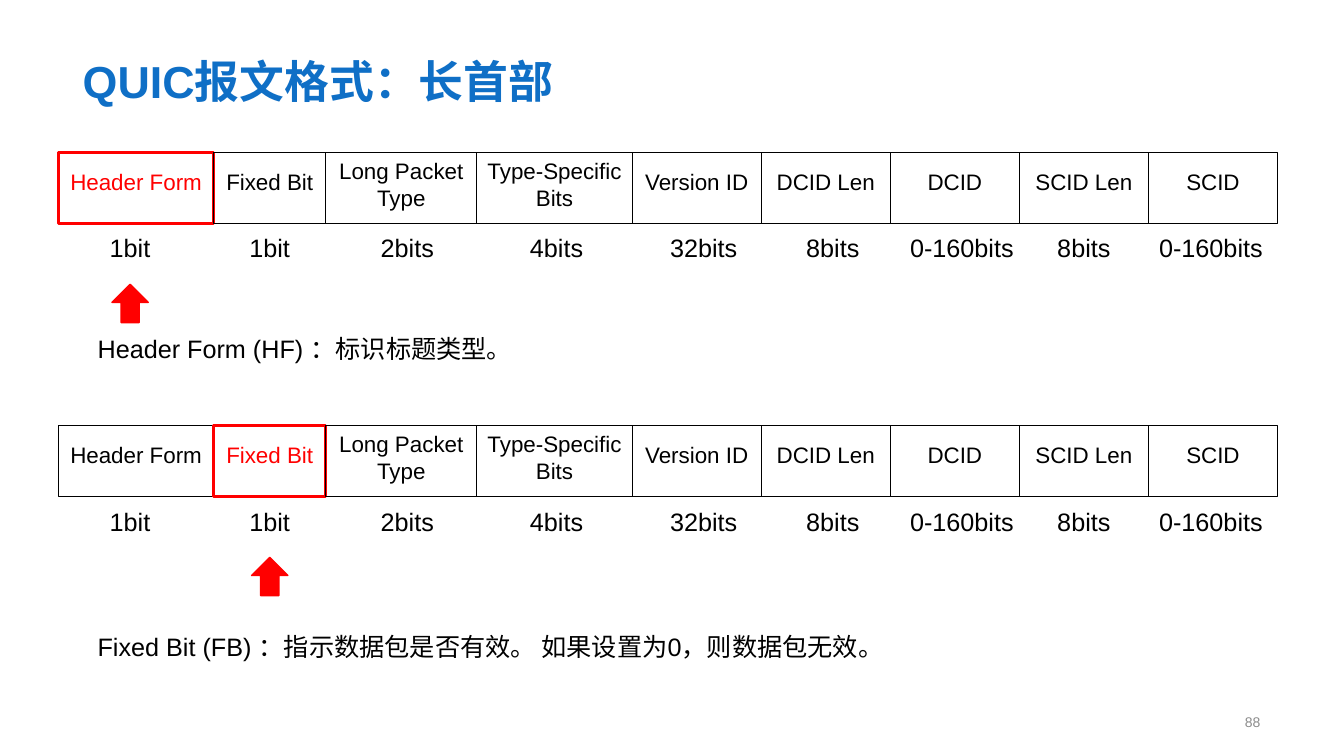
from pptx import Presentation
from pptx.dml.color import RGBColor
from pptx.enum.shapes import MSO_SHAPE
from pptx.enum.text import MSO_ANCHOR, MSO_AUTO_SIZE, PP_ALIGN
from pptx.util import Inches, Pt

BLACK = RGBColor(0x00, 0x00, 0x00)
RED = RGBColor(0xFF, 0x00, 0x00)
BLUE = RGBColor(0x0F, 0x6F, 0xC6)
GREY = RGBColor(0x8C, 0x8C, 0x8C)

GRID_STEP = 0.1  # inches per column and per row
TABLE_LEFT = 5.8
FIELD_HEIGHT = 7.1

# Field name, width, size label, offset of the label from the field's centre
FIELDS = [
    ("Header Form", 15.4, "1bit", -0.6),
    ("Fixed Bit", 11.1, "1bit", 0),
    ("Long Packet Type", 15, "2bits", 0.6),
    ("Type-Specific Bits", 15.4, "4bits", 0.2),
    ("Version ID", 12.8, "32bits", 0.7),
    ("DCID Len", 12.8, "8bits", 0.7),
    ("DCID", 12.8, "0-160bits", 0.7),
    ("SCID Len", 12.8, "8bits", 0),
    ("SCID", 12.8, "0-160bits", -0.2),
]
TWO_LINE_FIELDS = {"Long Packet Type", "Type-Specific Bits"}


def grid(steps):
    return Inches(steps * GRID_STEP)


class HeaderPage:
    font_name = "Arial"

    def __init__(self, deck):
        self.page = deck.slides.add_slide(deck.slide_layouts[5])

    def fill_text(self, shape, text, size, color=BLACK, bold=False,
                  align=PP_ALIGN.LEFT, **frame_format):
        frame = shape.text_frame
        frame_values = {"word_wrap": True, "auto_size": MSO_AUTO_SIZE.NONE,
                        "vertical_anchor": MSO_ANCHOR.TOP, **frame_format}
        for name, value in frame_values.items():
            setattr(frame, name, value)
        para = frame.paragraphs[0]
        para.alignment = align
        span = para.add_run()
        span.text = text
        span.font.color.rgb = color
        font_values = {"name": self.font_name, "size": Pt(size), "bold": bold}
        for name, value in font_values.items():
            setattr(span.font, name, value)
        return para

    def title(self, text, left, top, width, height):
        shape = self.page.shapes.title
        place = {"left": left, "top": top, "width": width, "height": height}
        for name, value in place.items():
            setattr(shape, name, grid(value))
        self.fill_text(shape, text, 32, BLUE, bold=True,
                       vertical_anchor=MSO_ANCHOR.BOTTOM)

    def text(self, text, left, top, width, height, size=18, **style):
        box = self.page.shapes.add_textbox(*map(grid, (left, top, width, height)))
        return self.fill_text(box, text, size, **style)

    def shape(self, kind, left, top, width, height, line_color, line_width):
        shape = self.page.shapes.add_shape(
            kind, *map(grid, (left, top, width, height)))
        shape.shadow.inherit = False
        shape.fill.background()
        shape.line.color.rgb = line_color
        shape.line.width = Pt(line_width)
        return shape

    def field(self, name, left, top, width, highlighted):
        color, line_width = (RED, 2.25) if highlighted else (BLACK, 0.75)
        cell = self.shape(MSO_SHAPE.RECTANGLE, left, top, width, FIELD_HEIGHT,
                          color, line_width)
        inset = 0.5 if name in TWO_LINE_FIELDS else 1.6
        self.fill_text(cell, name, 16, color, align=PP_ALIGN.CENTER,
                       margin_top=grid(inset))

    def arrow(self, center, top):
        arrow = self.shape(MSO_SHAPE.DOWN_ARROW, center - 1.8, top, 3.6, 3.8, RED, 1)
        arrow.rotation = 180
        arrow.fill.solid()
        arrow.fill.fore_color.rgb = RED

    def explanation(self, text, top, width):
        para = self.text(text, 5.7, top, width, 5, align=PP_ALIGN.JUSTIFY)
        para.line_spacing = 1.5
        para._p.get_or_add_pPr().set("indent", str(grid(3)))

    def header(self, top, highlighted_name):
        """Draw the row of fields, their sizes and the arrow to one field."""
        left = TABLE_LEFT
        for name, width, bits, offset in FIELDS:
            highlighted = name == highlighted_name
            self.field(name, left, top, width, highlighted)
            center = left + width / 2 + offset
            self.text(bits, center - 6.2, top + 7.5, 12.4, 4,
                      align=PP_ALIGN.CENTER, word_wrap=False)
            if highlighted:
                self.arrow(center, top + 13.1)
            left += width


def main():
    deck = Presentation()
    deck.slide_width, deck.slide_height = Inches(13.33), Inches(7.5)
    page = HeaderPage(deck)
    page.title("QUIC报文格式：长首部", 7.2, 1.4, 118.8, 9.8)
    page.header(15.1, "Header Form")
    page.explanation("Header Form (HF) ：标识标题类型。", 31.1, 66.7)
    page.header(42.2, "Fixed Bit")
    page.explanation(
        "Fixed Bit (FB) ：指示数据包是否有效。 如果设置为0，则数据包无效。", 60.6, 92.7)
    page.text("88", 85, 70.1, 41, 3, size=10, color=GREY,
              align=PP_ALIGN.RIGHT, vertical_anchor=MSO_ANCHOR.MIDDLE)
    deck.save("out.pptx")


if __name__ == "__main__":
    main()
